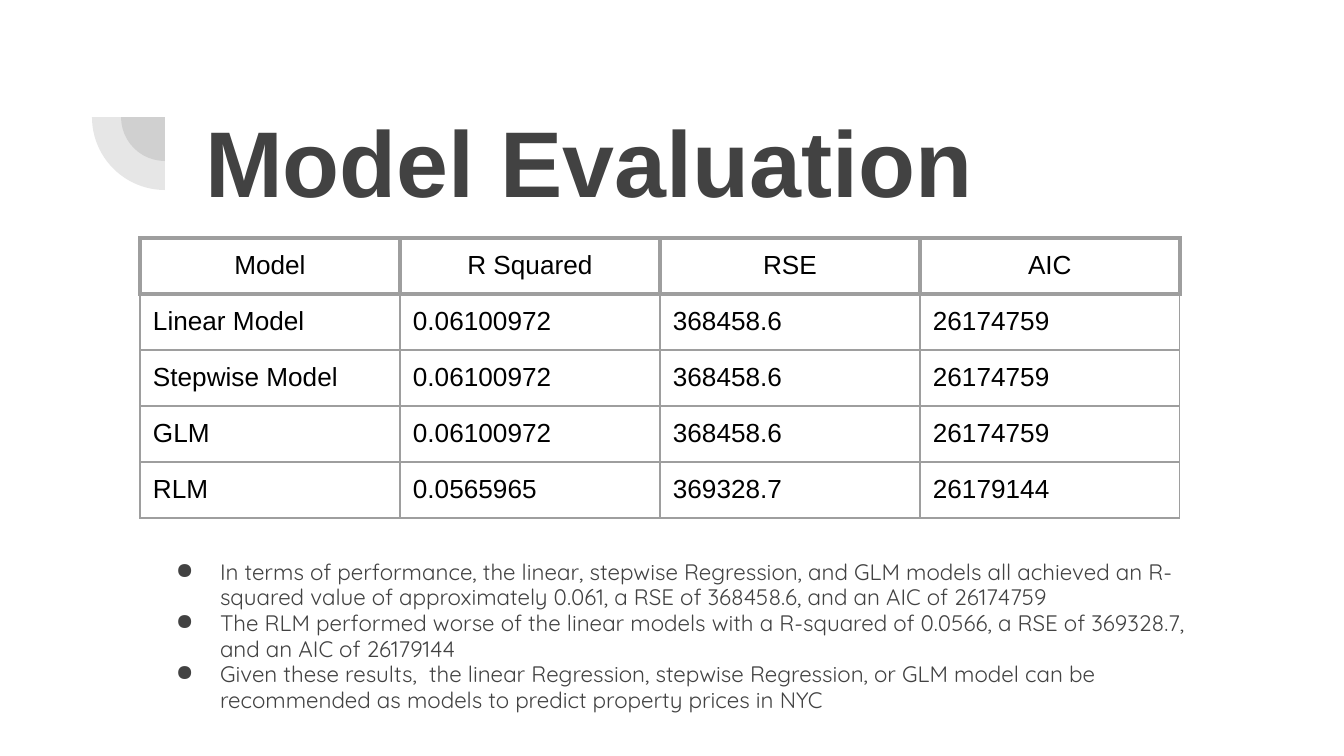
from dataclasses import dataclass

from lxml.etree import SubElement
from pptx import Presentation
from pptx.dml.color import RGBColor
from pptx.enum.shapes import MSO_SHAPE as Shape
from pptx.enum.text import MSO_ANCHOR as Anchor, PP_ALIGN as Align
from pptx.oxml import parse_xml
from pptx.oxml.ns import nsdecls, qn
from pptx.util import Emu, Pt


@dataclass(frozen=True)
class Theme:
    ink: str = "424242"
    table_text: str = "000000"
    rule: str = "9E9E9E"
    heading_font: str = "Arial"
    body_font: str = "Quicksand"
    title_size: int = 50
    table_size: int = 14
    body_size: int = 12
    pie_opacity: int = 13
    thin: float = 0.75
    thick: float = 2.25


THEME = Theme()
EMU_PER_PX = 914400 / 134.4
INSET = 13

RESULTS = [
    ("Model", "R Squared", "RSE", "AIC"),
    ("Linear Model", "0.06100972", "368458.6", "26174759"),
    ("Stepwise Model", "0.06100972", "368458.6", "26174759"),
    ("GLM", "0.06100972", "368458.6", "26174759"),
    ("RLM", "0.0565965", "369328.7", "26179144"),
]
FINDINGS = [
    "In terms of performance, the linear, stepwise Regression, and GLM models all achieved "
    "an R-squared value of approximately 0.061, a RSE of 368458.6, and an AIC of 26174759",
    "The RLM performed worse of the linear models with a R-squared of 0.0566, "
    "a RSE of 369328.7, and an AIC of 26179144",
    "Given these results,  the linear Regression, stepwise Regression, or GLM model can be "
    "recommended as models to predict property prices in NYC",
]


def px(length):
    return Emu(round(length * EMU_PER_PX))


def write(paragraph, text, *, size, font=THEME.heading_font, color=THEME.ink,
          bold=False, align=Align.LEFT, spacing=1.0):
    paragraph.alignment = align
    paragraph.line_spacing = spacing
    paragraph.space_before = paragraph.space_after = Pt(0)
    run = paragraph.add_run()
    run.text = text
    run.font.name = font
    run.font.size = Pt(size)
    run.font.bold = bold
    run.font.color.rgb = RGBColor.from_string(color)


def set_insets(holder):
    holder.margin_left = holder.margin_right = px(INSET)
    holder.margin_top = holder.margin_bottom = px(INSET)


def add_quarter(slide, center_x, center_y, radius):
    quarter = slide.shapes.add_shape(
        Shape.PIE, px(center_x - radius), px(center_y - radius), px(2 * radius), px(2 * radius))
    quarter.adjustments[0] = 108
    quarter.adjustments[1] = 162
    quarter.rotation = 270
    quarter.shadow.inherit = False
    quarter.line.fill.background()
    quarter.fill.solid()
    quarter.fill.fore_color.rgb = RGBColor.from_string(THEME.ink)
    tint = quarter.fill._xPr.find(".//" + qn("a:srgbClr"))
    SubElement(tint, qn("a:alpha"), val=str(THEME.pie_opacity * 1000))


def add_title(slide, text):
    title = slide.shapes.title
    title.left, title.top, title.width, title.height = px(192), px(87), px(1034), px(146)
    frame = title.text_frame
    frame.word_wrap = True
    frame.vertical_anchor = Anchor.MIDDLE
    set_insets(frame)
    write(frame.paragraphs[0], text, size=THEME.title_size, bold=True)


def set_borders(cell, widths):
    properties = cell._tc.get_or_add_tcPr()
    for position, (side, width) in enumerate(zip("LRTB", widths)):
        properties.insert(position, parse_xml(
            f'<a:ln{side} {nsdecls("a")} w="{Pt(width)}"><a:solidFill>'
            f'<a:srgbClr val="{THEME.rule}"/></a:solidFill></a:ln{side}>'))


def add_results(slide, left, top, column_width, row_height):
    row_count, column_count = len(RESULTS), len(RESULTS[0])
    table = slide.shapes.add_table(
        row_count, column_count, px(left), px(top),
        px(column_width * column_count), px(row_height * row_count)).table
    table.first_row = table.horz_banding = False
    for row_index, values in enumerate(RESULTS):
        is_header = row_index == 0
        side = THEME.thick if is_header else THEME.thin
        upper = THEME.thick if row_index <= 1 else THEME.thin
        for column_index, value in enumerate(values):
            cell = table.cell(row_index, column_index)
            cell.fill.background()
            set_insets(cell)
            set_borders(cell, (side, side, upper, side))
            write(cell.text_frame.paragraphs[0], value, size=THEME.table_size,
                  color=THEME.table_text, align=Align.CENTER if is_header else Align.LEFT)


def set_bullet(paragraph, indent, hanging):
    properties = paragraph._p.get_or_add_pPr()
    properties.set("marL", str(px(indent)))
    properties.set("indent", str(-px(hanging)))
    color = SubElement(properties, qn("a:buClr"))
    SubElement(color, qn("a:srgbClr"), val=THEME.ink)
    SubElement(properties, qn("a:buChar"), char="●")


def add_findings(slide, left, top, width, height):
    frame = slide.shapes.add_textbox(px(left), px(top), px(width), px(height)).text_frame
    frame.word_wrap = True
    set_insets(frame)
    for index, finding in enumerate(FINDINGS):
        paragraph = frame.add_paragraph() if index else frame.paragraphs[0]
        write(paragraph, finding, size=THEME.body_size, font=THEME.body_font, spacing=0.95)
        set_bullet(paragraph, indent=67, hanging=44)


def main():
    deck = Presentation()
    deck.slide_width, deck.slide_height = px(1344), px(756)
    slide = deck.slides.add_slide(deck.slide_layouts[5])
    for radius in (44, 73):
        add_quarter(slide, 165, 117, radius)
    add_title(slide, "Model Evaluation")
    add_results(slide, 140, 238, 260, 56)
    add_findings(slide, 140, 547, 1085, 191)
    deck.save("out.pptx")


if __name__ == "__main__":
    main()
